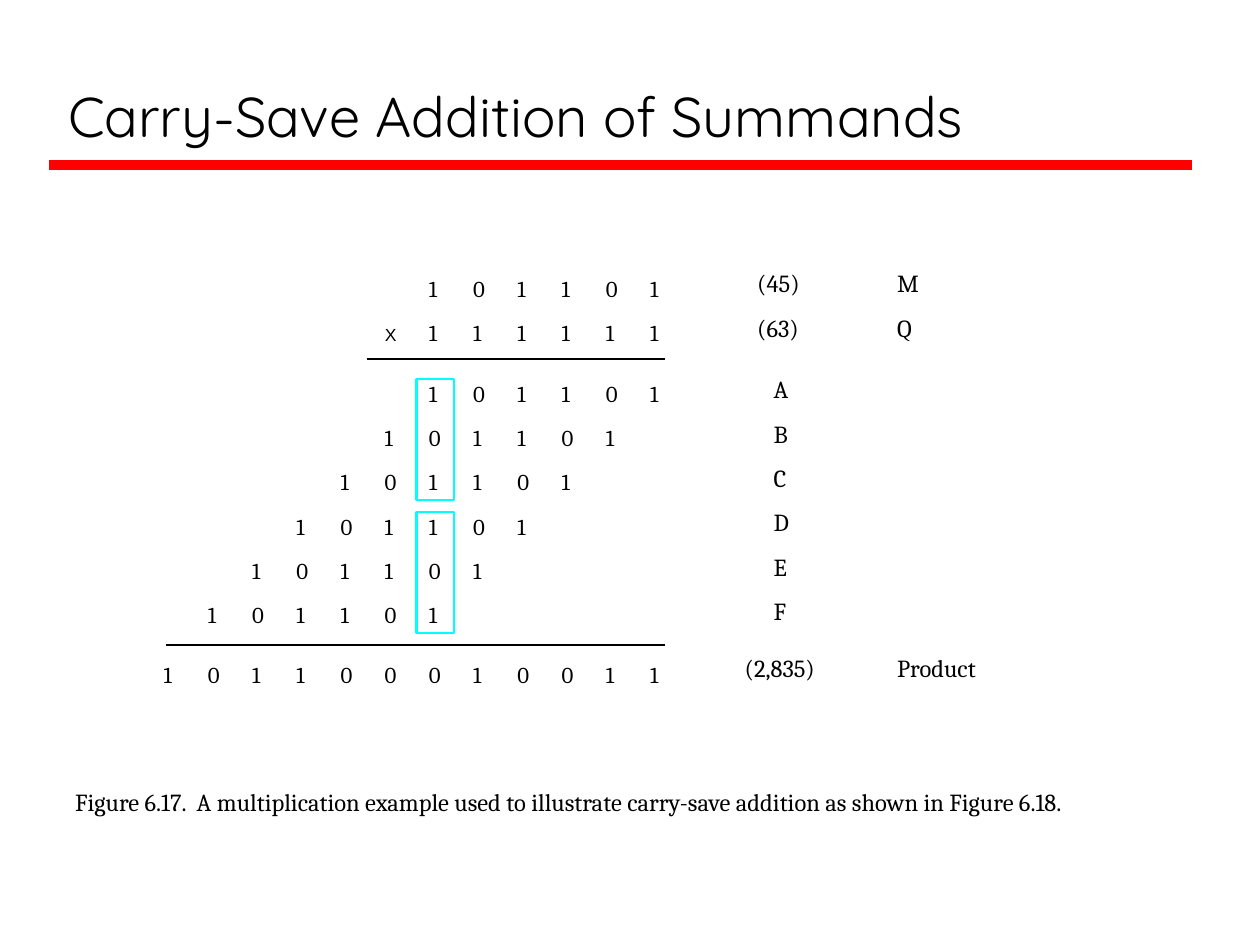
import pptx
import pptx.util
import pptx.dml.color
import pptx.enum.shapes
import pptx.enum.text
import pptx.oxml.ns
from lxml import etree

Inches, Pt = pptx.util.Inches, pptx.util.Pt
RGBColor = pptx.dml.color.RGBColor
ALIGN = pptx.enum.text.PP_ALIGN

BLACK = RGBColor(0x00, 0x00, 0x00)
RED = RGBColor(0xFF, 0x00, 0x00)
CYAN = RGBColor(0x00, 0xFF, 0xFF)

COLUMN_STEP = 0.351
ROW_STEP = 0.352
DIGIT_WIDTH, DIGIT_HEIGHT = 0.1, 0.22
LABEL_HEIGHT = 0.23
RULE_WIDTH = 1.38


def add_run(paragraph, text, size, font):
    run = paragraph.add_run()
    run.text = text
    run.font.size = Pt(size)
    run.font.name = font
    run.font.color.rgb = BLACK


def add_label(slide, box, text, size=14, font="Cambria", align=ALIGN.LEFT):
    frame = slide.shapes.add_textbox(*map(Inches, box)).text_frame
    frame.margin_left = frame.margin_right = 0
    frame.margin_top = frame.margin_bottom = 0
    frame.word_wrap = False
    frame.auto_size = pptx.enum.text.MSO_AUTO_SIZE.SHAPE_TO_FIT_TEXT
    frame.paragraphs[0].alignment = align
    add_run(frame.paragraphs[0], text, size, font)


def add_rule(slide, left, right, y, color=BLACK, width=RULE_WIDTH):
    rule = slide.shapes.add_connector(
        pptx.enum.shapes.MSO_CONNECTOR.STRAIGHT,
        Inches(left), Inches(y), Inches(right), Inches(y))
    rule.line.color.rgb = color
    rule.line.width = Pt(width)
    etree.SubElement(rule._element.spPr, pptx.oxml.ns.qn("a:effectLst"))


def add_heading(slide, left, top, width, height):
    title = slide.shapes.title
    title.left, title.top = Inches(left), Inches(top)
    title.width, title.height = Inches(width), Inches(height)
    title.text_frame.vertical_anchor = pptx.enum.text.MSO_ANCHOR.BOTTOM
    paragraph = title.text_frame.paragraphs[0]
    paragraph.alignment = ALIGN.LEFT
    add_run(paragraph, "Carry-Save Addition of Summands", 32, "Quicksand")
    add_rule(slide, left - 0.05, left + width + 0.05, top + height + 0.08, RED, 6)


def add_digits(slide, right, top, digits, shift=0):
    """Set digits from the right, moved left by shift columns."""
    for place, digit in enumerate(reversed(digits), start=shift):
        box = (right - place * COLUMN_STEP, top, DIGIT_WIDTH, DIGIT_HEIGHT)
        add_label(slide, box, digit, size=13)


def add_multiplication(slide, left, top, width):
    right = left + width - DIGIT_WIDTH  # left edge of the units column
    summands_top = top + 0.83
    product_top = top + 3.06
    rule_right = left + width + 0.02

    # Factors
    factors = [("101101", "(45)", "M"), ("111111", "(63)", "Q")]
    for row, (digits, value, name) in enumerate(factors):
        y = top + row * ROW_STEP
        add_digits(slide, right, y, digits)
        add_label(slide, (left + 4.71, y - 0.05, 0.34, LABEL_HEIGHT), value)
        add_label(slide, (left + 5.82, y - 0.05, 0.16, LABEL_HEIGHT), name)
    add_label(slide, (right - 6 * COLUMN_STEP, top + 0.39, 0.09, 0.17),
              "X", size=10, font="Arial")
    add_rule(slide, left + 1.61, rule_right, top + 0.67)

    # Summands, each one column further left
    for shift, name in enumerate("ABCDEF"):
        y = summands_top + shift * ROW_STEP
        add_digits(slide, right, y, "101101", shift)
        add_label(slide, (left + 4.84, y - 0.04, 0.13, LABEL_HEIGHT), name)
    add_rule(slide, left + 0.02, rule_right, top + 2.94)

    # Product
    add_digits(slide, right, product_top, "101100010011")
    add_label(slide, (left + 4.61, product_top - 0.06, 0.61, LABEL_HEIGHT), "(2,835)")
    add_label(slide, (left + 5.82, product_top - 0.06, 0.67, LABEL_HEIGHT), "Product")

    # Frames around three summands of one column
    for first_row in (0, 3):
        frame = slide.shapes.add_shape(
            pptx.enum.shapes.MSO_SHAPE.RECTANGLE,
            Inches(right - 5 * COLUMN_STEP - 0.1),
            Inches(summands_top + first_row * ROW_STEP),
            Inches(0.3), Inches(0.96))
        frame.shadow.inherit = False
        frame.fill.background()
        frame.line.color.rgb = CYAN
        frame.line.width = Pt(RULE_WIDTH)


def add_caption(slide, left, top, width, height):
    add_label(slide, (left, top, width, height),
              "Figure 6.17.  A multiplication example used to illustrate "
              "carry-save addition as shown in Figure 6.18.",
              align=ALIGN.CENTER)


def main():
    deck = pptx.Presentation()
    deck.slide_width, deck.slide_height = Inches(10), Inches(7.5)
    slide = deck.slides.add_slide(deck.slide_layouts.get_by_name("Title Only"))
    add_heading(slide, 0.44, 0.17, 8.97, 1.06)
    add_multiplication(slide, 1.3, 2.18, 3.96)
    add_caption(slide, 0.24, 6.25, 8.55, 0.23)
    deck.save("out.pptx")


if __name__ == "__main__":
    main()
